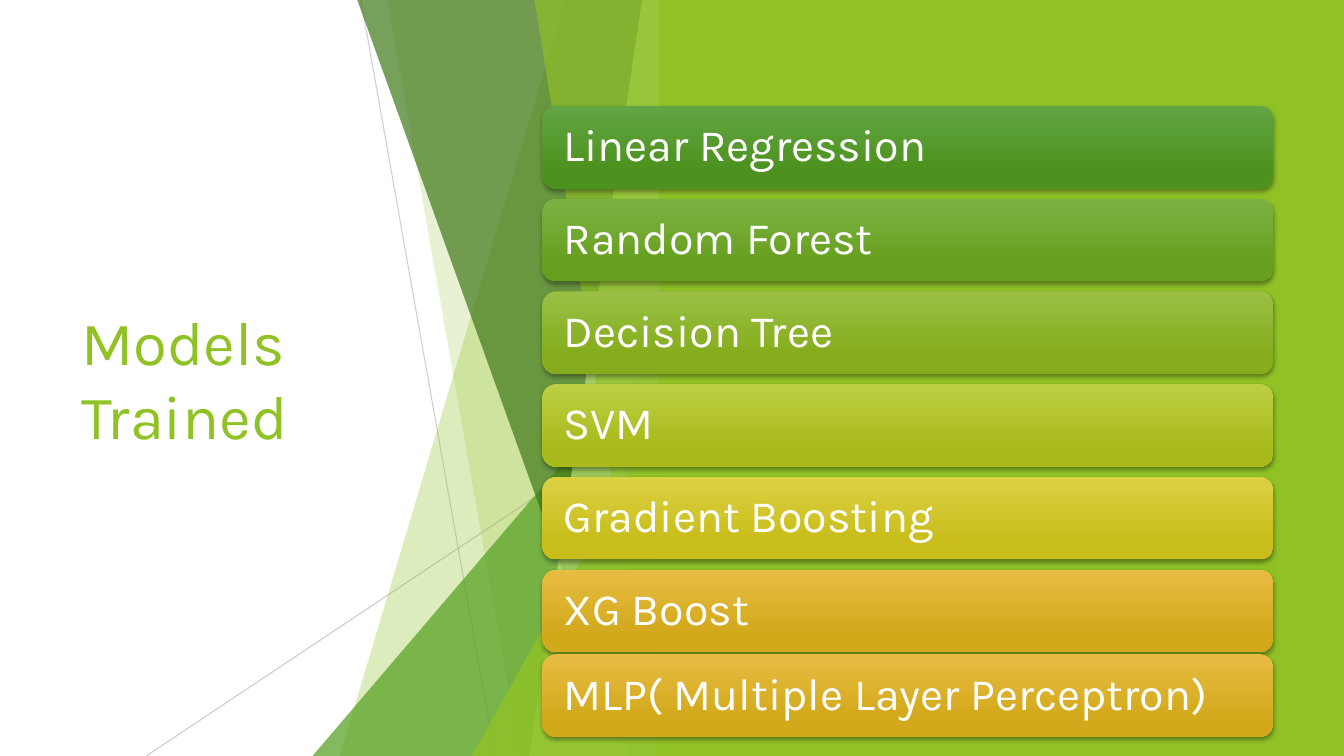
from lxml.etree import SubElement
from pptx import Presentation
from pptx.dml.color import RGBColor
from pptx.enum.shapes import MSO_CONNECTOR, MSO_SHAPE
from pptx.enum.text import MSO_ANCHOR
from pptx.oxml.ns import qn
from pptx.util import Pt

PX = 9144  # 100 px to the inch
WIDE, HIGH = 1333, 750
LIME, LEAF, MOSS, PALE = "90C226", "54A021", "3F7819", "C0E474"

MODELS = [
    ("Linear Regression", "63A545", "4D921E"),
    ("Random Forest", "7BB244", "679F1E"),
    ("Decision Tree", "99C044", "86AC1D"),
    ("SVM", "BDCE43", "A9BA1B"),
    ("Gradient Boosting", "DCD143", "C8BD1A"),
    ("XG Boost", "E7BC43", "D2A91B"),
    ("MLP( Multiple Layer Perceptron)", "E7BC43", "D2A91B"),
]
BAR_TOP, BAR_STEP, LAST_TOP = 105, 92, 649


def paint(target, color):
    target.rgb = RGBColor.from_string(color)


def fade(shape, alpha):
    """Set the opacity, in percent, of the shape's first solid colour."""
    tint = next(shape._element.spPr.iter(qn("a:srgbClr")))
    SubElement(tint, qn("a:alpha"), val=str(alpha * 1000))


def fill(shape, color, alpha=100):
    shape.shadow.inherit = False
    shape.line.fill.background()
    shape.fill.solid()
    paint(shape.fill.fore_color, color)
    if alpha < 100:
        fade(shape, alpha)


def preset(slide, kind, *box):
    return slide.shapes.add_shape(kind, *(n * PX for n in box))


def facet(slide, points, color, alpha):
    pen = slide.shapes.build_freeform(*points[0], scale=PX)
    pen.add_line_segments(points[1:], close=True)
    fill(pen.convert_to_shape(), color, alpha)


def wedge(slide, box, color, alpha):
    """Draw a triangle with its apex at the top right."""
    shape = preset(slide, MSO_SHAPE.ISOSCELES_TRIANGLE, *box)
    shape.adjustments[0] = 1
    fill(shape, color, alpha)


def thread(slide, ends, alpha):
    line = slide.shapes.add_connector(MSO_CONNECTOR.STRAIGHT, *(n * PX for n in ends))
    paint(line.line.color, "BFBFBF")
    line.line.width = Pt(0.75)
    fade(line, alpha)
    SubElement(line._element.spPr, qn("a:effectLst"))


def write(shape, text, size, color, side=10, edge=5, space=1.0):
    frame = shape.text_frame
    frame.word_wrap = True
    frame.vertical_anchor = MSO_ANCHOR.MIDDLE
    frame.margin_left = frame.margin_right = side * PX
    frame.margin_top = frame.margin_bottom = edge * PX
    para = frame.paragraphs[0]
    para.alignment = 1
    para.line_spacing = space
    run = para.add_run()
    run.text = text
    run.font.name = "Karla"
    run.font.size = Pt(size)
    paint(run.font.color, color)


def shade(shape):
    shape.shadow.inherit = False
    effects = shape._element.spPr.find(qn("a:effectLst"))
    outer = SubElement(effects, qn("a:outerShdw"), blurRad=str(Pt(3)),
                       dist=str(Pt(2)), dir="5400000", rotWithShape="0")
    tint = SubElement(outer, qn("a:srgbClr"), val="000000")
    SubElement(tint, qn("a:alpha"), val="35000")


def bar(slide, top, text, light, dark):
    shape = preset(slide, MSO_SHAPE.ROUNDED_RECTANGLE, 538, top, 725, 82)
    shape.line.fill.background()
    shape.fill.gradient()
    shape.fill.gradient_angle = 270
    for stop, color, place in zip(shape.fill.gradient_stops, (light, dark), (0, 0.78)):
        paint(stop.color, color)
        stop.position = place
    shade(shape)
    write(shape, text, 32, "FFFFFF", side=17, edge=0, space=0.9)


def facets(slide):
    right = 666

    def slab(top, foot, color, alpha):
        """Draw a facet from a slanted left edge to the shared right edge."""
        points = [(top, -1), (right, -1), (right, HIGH), (foot, HIGH)]
        facet(slide, points, color, alpha)

    thread(slide, (358, 0, 491, HIGH), 75)
    thread(slide, (right, 403, 145, HIGH), 80)
    slab(561, 337, LIME, 30)
    slab(384, 516, LIME, 20)
    wedge(slide, (310, 333, 356, 417), LEAF, 72)
    slab(354, 624, MOSS, 70)
    slab(637, 525, PALE, 70)
    slab(530, 651, LIME, 65)
    wedge(slide, (468, 393, 199, 357), LIME, 80)


def main():
    deck = Presentation()
    deck.slide_width, deck.slide_height = WIDE * PX, HIGH * PX
    slide = deck.slides.add_slide(deck.slide_layouts[6])

    title = slide.shapes.add_textbox(*(n * PX for n in (71, 151, 388, 448)))
    write(title, "Models Trained", 44, LIME)
    facets(slide)
    panel = preset(slide, MSO_SHAPE.RECTANGLE, 654, 0, WIDE - 654, HIGH)
    fill(panel, LIME)
    for row, model in enumerate(MODELS):
        bar(slide, min(BAR_TOP + row * BAR_STEP, LAST_TOP), *model)

    deck.save("out.pptx")


if __name__ == "__main__":
    main()
